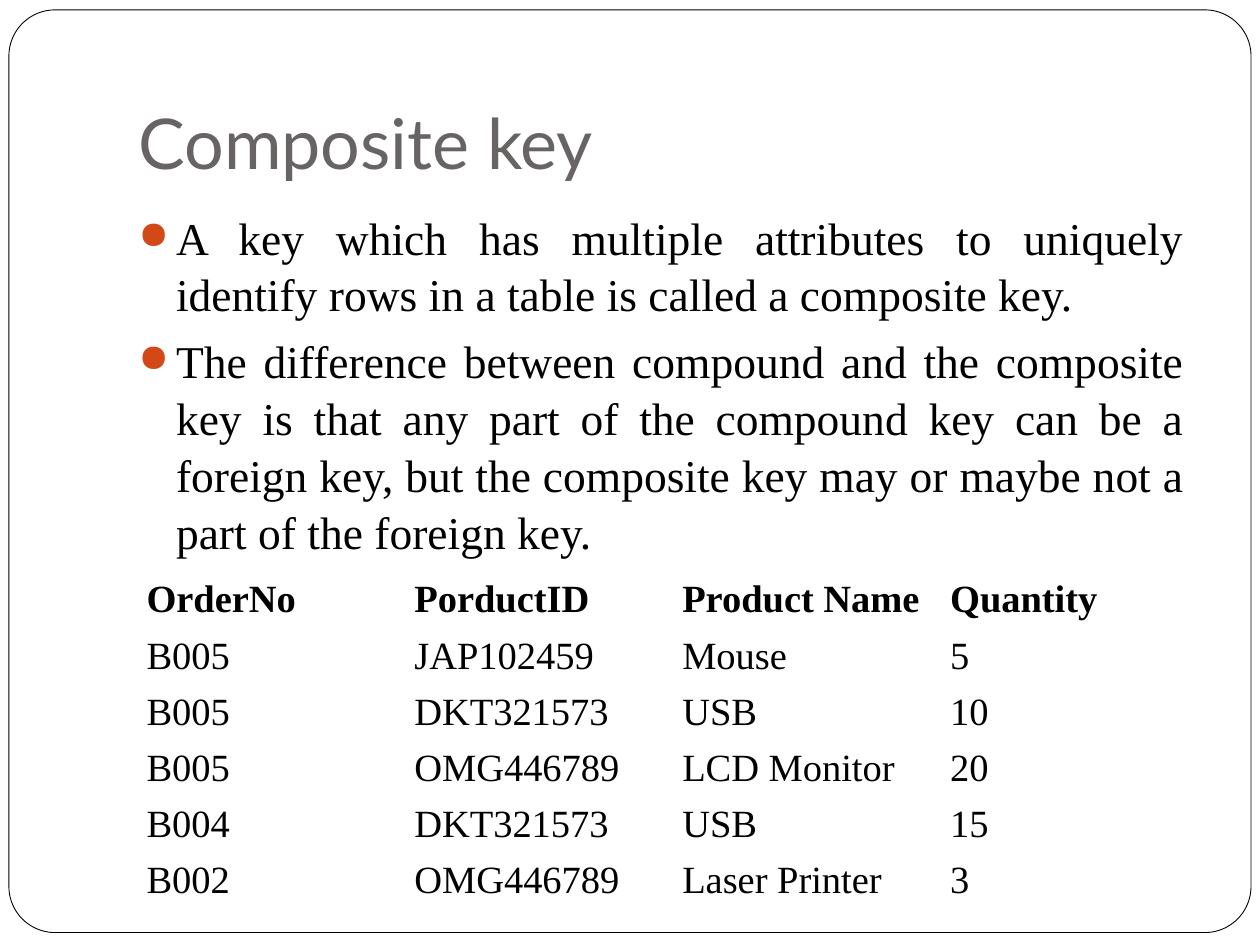
from lxml.etree import SubElement
from pptx import Presentation
from pptx.dml.color import RGBColor
from pptx.enum.shapes import MSO_SHAPE
from pptx.enum.text import MSO_ANCHOR, PP_ALIGN
from pptx.oxml.ns import qn
from pptx.util import Cm, Pt


class Theme:
    paper = RGBColor(0xFF, 0xFF, 0xFF)
    ink = RGBColor(0, 0, 0)
    heading = RGBColor(0x69, 0x64, 0x64)
    bullet = "D34817"
    title_font, body_font = "Lato", "Times New Roman"
    title_size, body_size, table_size = Pt(40), Pt(26), Pt(22)


def set_font(font, name, size, color, bold=False):
    for key, value in {"name": name, "size": size, "bold": bold}.items():
        setattr(font, key, value)
    font.color.rgb = color


def add_bullet(p):
    pPr = p._p.get_or_add_pPr()
    pPr.set("marL", str(Cm(0.76)))
    pPr.set("indent", str(-Cm(0.76)))
    color = SubElement(pPr, qn("a:buClr"))
    SubElement(color, qn("a:srgbClr"), val=Theme.bullet)
    SubElement(pPr, qn("a:buSzPct"), val="85000")
    SubElement(pPr, qn("a:buChar"), char="●")


prs = Presentation()
prs.slide_width, prs.slide_height = Cm(25.4), Cm(19.05)
s = prs.slides.add_slide(prs.slide_layouts[5])
s.background.fill.solid()
s.background.fill.fore_color.rgb = Theme.paper

# Rounded frame, behind the title
frame = s.shapes.add_shape(MSO_SHAPE.ROUNDED_RECTANGLE,
                           Cm(0.18), Cm(0.2), Cm(25.04), Cm(18.6))
frame.adjustments[0] = 0.05
frame.shadow.inherit = False
frame.fill.solid()
frame.fill.fore_color.rgb = Theme.paper
frame.line.color.rgb = Theme.ink
frame.line.width = Pt(0.5)
s.shapes._spTree.insert(2, frame._element)

# Title
title = s.shapes.title
for key, value in {"left": Cm(2.54), "top": Cm(0.76),
                   "width": Cm(21.59), "height": Cm(3.18)}.items():
    setattr(title, key, value)
tf = title.text_frame
for key, value in {"vertical_anchor": MSO_ANCHOR.BOTTOM, "word_wrap": True,
                   "margin_left": Cm(0.25), "margin_right": Cm(0.25),
                   "margin_top": Cm(0.13), "margin_bottom": Cm(0.25)}.items():
    setattr(tf, key, value)
tf.text = "Composite key"
p = tf.paragraphs[0]
p.alignment = PP_ALIGN.LEFT
set_font(p.runs[0].font, Theme.title_font, Theme.title_size, Theme.heading)

# Definitions
points = [
    "A key which has multiple attributes to uniquely identify rows in a table "
    "is called a composite key.",
    "The difference between compound and the composite key is that any part of "
    "the compound key can be a foreign key, but the composite key may or maybe "
    "not a part of the foreign key.",
]
body = s.shapes.add_textbox(Cm(2.54), Cm(4.06), Cm(21.59), Cm(7.2))
tf = body.text_frame
tf.word_wrap = True
for i, text in enumerate(points):
    p = tf.paragraphs[0] if i == 0 else tf.add_paragraph()
    p.alignment = PP_ALIGN.JUSTIFY
    p.line_spacing = 1.04
    if i > 0:
        p.space_before = Pt(5.8)
    add_bullet(p)
    r = p.add_run()
    r.text = text
    set_font(r.font, Theme.body_font, Theme.body_size, Theme.ink)

# Order table
orders = [
    ("OrderNo", "PorductID", "Product Name", "Quantity"),
    ("B005", "JAP102459", "Mouse", "5"),
    ("B005", "DKT321573", "USB", "10"),
    ("B005", "OMG446789", "LCD Monitor", "20"),
    ("B004", "DKT321573", "USB", "15"),
    ("B002", "OMG446789", "Laser Printer", "3"),
]
row_height = Cm(1.11)
table = s.shapes.add_table(len(orders), len(orders[0]), Cm(2.7), Cm(11.53),
                           Cm(21.6), row_height * len(orders)).table
table.horz_banding = False
# "No Style, No Grid"
table._tbl.tblPr.find(qn("a:tableStyleId")).text = \
    "{2D5ABB26-0587-4C30-8999-92F81FD0307C}"
for i, order in enumerate(orders):
    for j, text in enumerate(order):
        cell = table.cell(i, j)
        cell.fill.background()
        for key, value in {"vertical_anchor": MSO_ANCHOR.MIDDLE,
                           "margin_top": Cm(0.1),
                           "margin_bottom": Cm(0.1)}.items():
            setattr(cell, key, value)
        cell.text = text
        set_font(cell.text_frame.paragraphs[0].runs[0].font, Theme.body_font,
                 Theme.table_size, Theme.ink, bold=i == 0)

prs.save("out.pptx")
